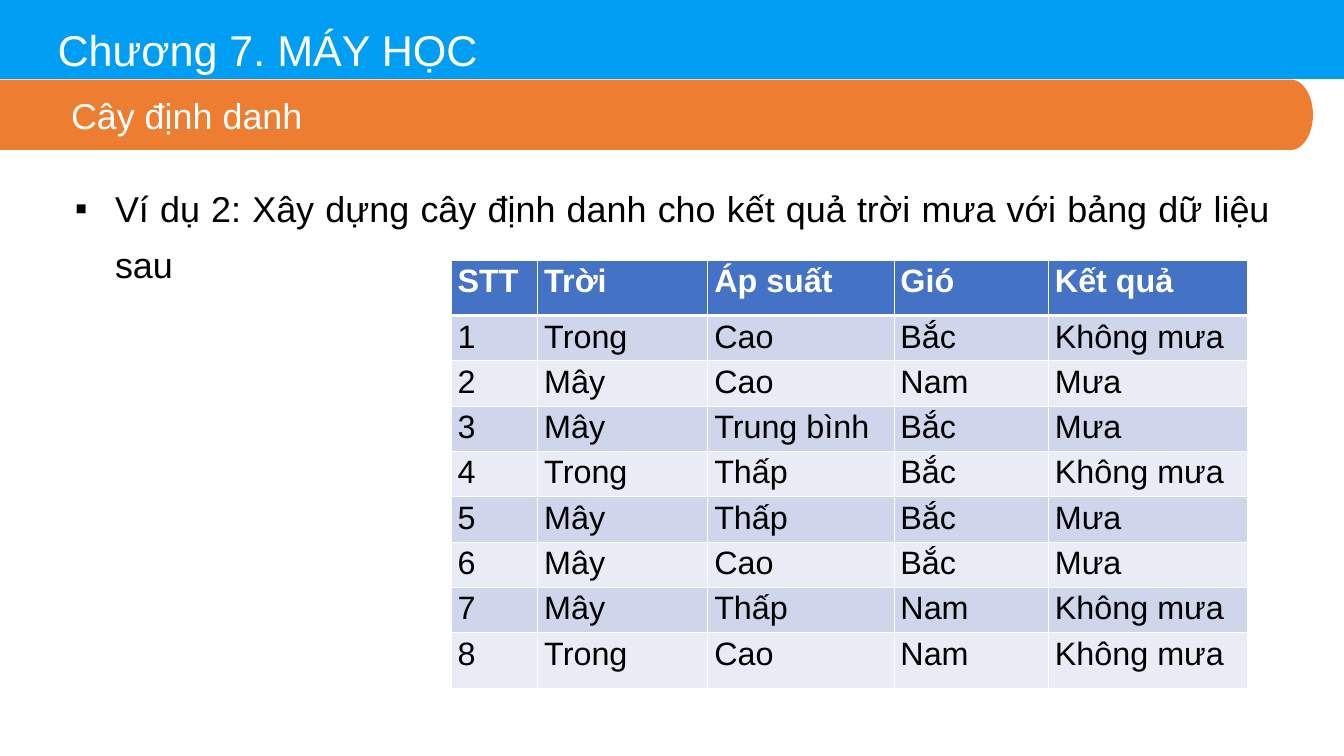
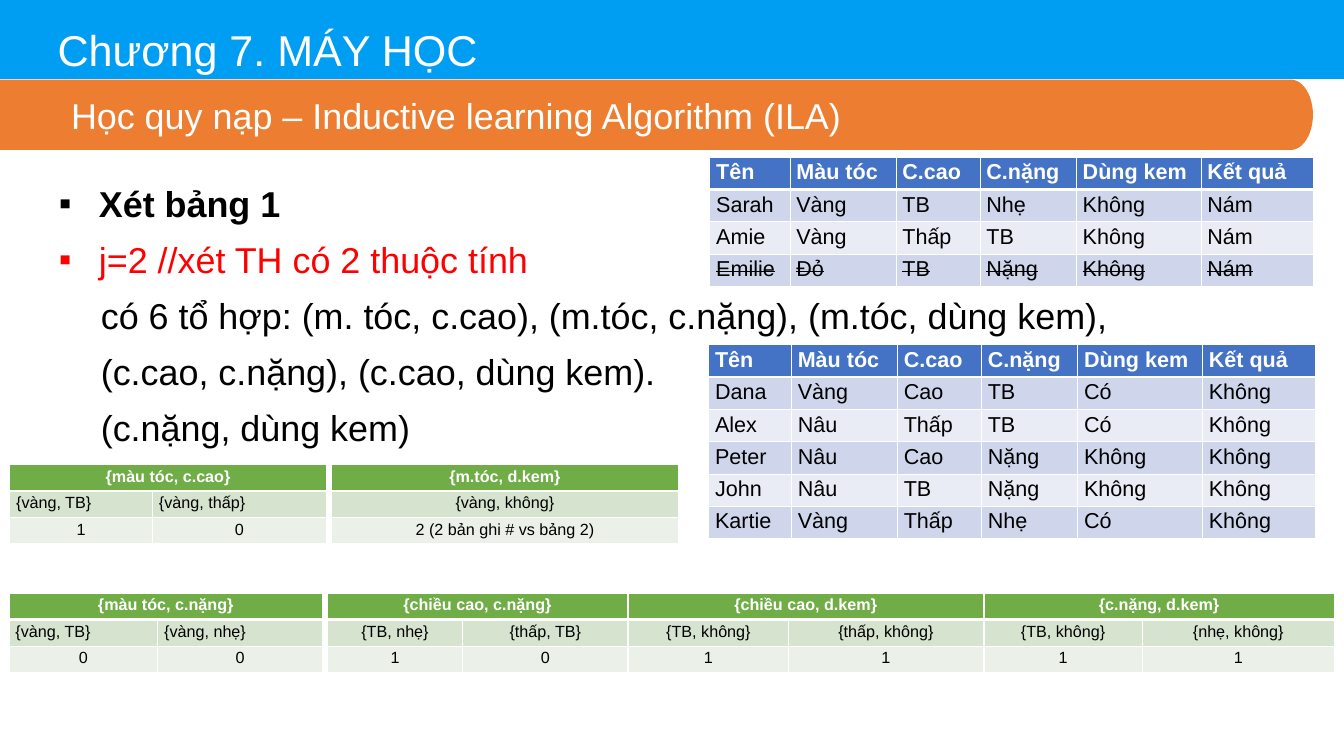
from itertools import zip_longest
from math import cos, pi, sin

from lxml.etree import SubElement as Sub
from pptx import Presentation
from pptx.dml.color import RGBColor
from pptx.enum.shapes import MSO_SHAPE as Shape
from pptx.enum.text import MSO_ANCHOR as Anchor, MSO_AUTO_SIZE as Fit, PP_ALIGN as Align
from pptx.oxml.ns import qn
from pptx.util import Inches, Pt

W, H = Inches(20.79), Inches(11.69)
FONT = "Arial"
WHITE, BLACK, RED = "FFFFFF", "000000", "FF0000"
SKY, ORANGE = "009EF3", "ED7D31"
BLUE = ("4472C4", "CFD5EA", "E9EBF5")
GREEN = ("70AD47", "D5E3CF", "EBF1E9")
CHAPTER = "Chương 7. MÁY HỌC"
HEADER_BOX = (0, 0, 100, 10.44)
TITLE_BOX = (4.28, 2.99, 90.19, 7.01)
TOPIC_BOX = (0, 10.52, 97.69, 9.32)
HANG = (0.64, -0.62)

WEATHER = """STT|Trời|Áp suất|Gió|Kết quả
1|Trong|Cao|Bắc|Không mưa
2|Mây|Cao|Nam|Mưa
3|Mây|Trung bình|Bắc|Mưa
4|Trong|Thấp|Bắc|Không mưa
5|Mây|Thấp|Bắc|Mưa
6|Mây|Cao|Bắc|Mưa
7|Mây|Thấp|Nam|Không mưa
8|Trong|Cao|Nam|Không mưa"""
PEOPLE_HEAD = "Tên|Màu tóc|C.cao|C.nặng|Dùng kem|Kết quả\n"
BURNT = PEOPLE_HEAD + """Sarah|Vàng|TB|Nhẹ|Không|Nám
Amie|Vàng|Thấp|TB|Không|Nám
Emilie|Đỏ|TB|Nặng|Không|Nám"""
UNBURNT = PEOPLE_HEAD + """Dana|Vàng|Cao|TB|Có|Không
Alex|Nâu|Thấp|TB|Có|Không
Peter|Nâu|Cao|Nặng|Không|Không
John|Nâu|TB|Nặng|Không|Không
Kartie|Vàng|Thấp|Nhẹ|Có|Không"""
PEOPLE_COLS = (1.64, 1.3, 1.49, 1.93, 1.74)

TOP_ROW, LOW_ROW = 61.42, 78.44
L, C = Align.LEFT, Align.CENTER
COMBOS = [
    (0.72, TOP_ROW, 23.57, (2.21, 2.69), L, "{màu tóc, c.cao}\n{vàng, TB}|{vàng, thấp}\n1|0"),
    (24.68, TOP_ROW, 25.78, (1,), C, "{m.tóc, d.kem}\n{vàng, không}\n2 (2 bản ghi # vs bảng 2)"),
    (0.67, LOW_ROW, 23.33, (2.3, 2.55), L, "{màu tóc, c.nặng}\n{vàng, TB}|{vàng, nhẹ}\n0|0"),
    (24.34, LOW_ROW, 22.37, (2.1, 2.55), C, "{chiều cao, c.nặng}\n{TB, nhẹ}|{thấp, TB}\n1|0"),
    (46.75, LOW_ROW, 26.41, (2.48, 3.01), C, "{chiều cao, d.kem}\n{TB, không}|{thấp, không}\n1|1"),
    (73.21, LOW_ROW, 26.07, (2.45, 2.97), C, "{c.nặng, d.kem}\n{TB, không}|{nhẹ, không}\n1|1"),
]


def rgb(code):
    """Turn a hex string into a colour."""
    return RGBColor.from_string(code)


def area(box):
    """Turn percentages of the slide into lengths."""
    return [round(v * side / 100) for v, side in zip(box, (W, H, W, H))]


def assign(obj, **values):
    """Set several attributes of one object."""
    for name, value in values.items():
        setattr(obj, name, value)


def write(p, text, size, color, bold=False):
    """Add a formatted run to a paragraph."""
    r = p.add_run()
    r.text = text
    assign(r.font, name=FONT, size=Pt(size), bold=bold)
    r.font.color.rgb = rgb(color)
    return r


def indent(p, left, first=0):
    """Set the left and first-line indents in inches."""
    pPr = p._p.get_or_add_pPr()
    pPr.set("marL", str(Inches(left)))
    pPr.set("indent", str(Inches(first)))
    return pPr


def paint(sp, color):
    """Give a shape a plain fill without line or shadow."""
    sp.shadow.inherit = False
    sp.fill.solid()
    sp.fill.fore_color.rgb = rgb(color)
    sp.line.fill.background()


def text_frame(sp):
    """Prepare a text frame with almost no insets."""
    tf = sp.text_frame
    assign(tf, word_wrap=True, auto_size=Fit.NONE, vertical_anchor=Anchor.TOP,
           margin_left=0, margin_right=0, margin_top=Inches(0.01), margin_bottom=0)
    return tf


def header(s, box, title_box):
    """Place the chapter title on its band."""
    band = s.shapes.add_shape(Shape.RECTANGLE, *area(box))
    paint(band, SKY)
    s.shapes._spTree.insert(2, band._element)
    sp = s.shapes.title
    sp.left, sp.top, sp.width, sp.height = area(title_box)
    p = text_frame(sp).paragraphs[0]
    p.alignment = Align.LEFT
    write(p, CHAPTER, 48, WHITE)


def topic(s, box, text):
    """Place the topic band with its rounded right end."""
    x, y, w, h = area(box)
    rx, ry, steps = round(w * 0.017), h / 2, 24
    angles = [-pi / 2 + pi * i / steps for i in range(steps + 1)]
    arc = [(x + w - rx + rx * cos(a), y + ry + ry * sin(a)) for a in angles]
    builder = s.shapes.build_freeform(x, y)
    builder.add_line_segments([(round(a), round(b)) for a, b in arc] + [(x, y + h)], close=True)
    sp = builder.convert_to_shape()
    paint(sp, ORANGE)
    tf = sp.text_frame
    assign(tf, word_wrap=True, vertical_anchor=Anchor.MIDDLE)
    p = tf.paragraphs[0]
    p.alignment = Align.JUSTIFY
    indent(p, 1)
    write(p, text, 40, WHITE)


def body(s, box, items):
    """Place paragraphs of (text, colour, bold, bulleted)."""
    tf = text_frame(s.shapes.add_textbox(*area(box)))
    for i, (text, color, bold, bulleted) in enumerate(items):
        p = tf.add_paragraph() if i else tf.paragraphs[0]
        if bulleted:
            pPr = indent(p, *HANG)
            Sub(pPr, qn("a:buFont"), typeface=FONT)
            Sub(pPr, qn("a:buChar"), char="▪")
        else:
            indent(p, 0.67)
        assign(p, alignment=Align.JUSTIFY, line_spacing=1.3)
        write(p, text, 40, color, bold)


def borders(cell, row):
    """Draw white cell borders, heavier under the header."""
    tcPr = cell._tc.get_or_add_tcPr()
    heavy = {"T": row == 1, "B": row == 0}
    for side in "LRTB":
        ln = Sub(tcPr, qn(f"a:ln{side}"), w=str(Pt(3 if heavy.get(side) else 1)))
        Sub(Sub(ln, qn("a:solidFill")), qn("a:srgbClr"), val=WHITE)


def split(total, weights):
    """Share a length by weights."""
    return [round(total * v / sum(weights)) for v in weights]


def grid(s, box, data, cols, colors, size, rows=None, aligns=None, struck=None):
    """Place a banded table of the given text."""
    lines = [line.split("|") for line in data.split("\n")]
    x, y, w, h = area(box)
    tbl = s.shapes.add_table(len(lines), len(cols), x, y, w, h).table
    for col, width in zip(tbl.columns, split(w, cols)):
        col.width = width
    for row, height in zip(tbl.rows, split(h, rows or [1] * len(lines))):
        row.height = height
    head, *bands = colors
    for i, line in enumerate(lines):
        for j, (text, _) in enumerate(zip_longest(line, cols, fillvalue="")):
            cell = tbl.cell(i, j)
            borders(cell, i)
            cell.fill.solid()
            cell.fill.fore_color.rgb = rgb(bands[(i - 1) % 2] if i else head)
            if not text:
                continue
            p = cell.text_frame.paragraphs[0]
            p.alignment = aligns[i] if aligns else Align.LEFT
            r = write(p, text, size, BLACK if i else WHITE, i == 0)
            if i == struck:
                r.font._element.set("strike", "sngStrike")
    if len(lines[0]) < len(cols):
        tbl.cell(0, 0).merge(tbl.cell(0, len(cols) - 1))


def new_slide(prs, text):
    """Add a slide with the shared header and a topic."""
    s = prs.slides.add_slide(prs.slide_layouts[5])
    header(s, HEADER_BOX, TITLE_BOX)
    topic(s, TOPIC_BOX, text)
    return s


def tree_slide(prs):
    """Build the identification tree example."""
    s = new_slide(prs, "Cây định danh")
    body(s, (5.48, 22.93, 88.98, 14.46), [
        ("Ví dụ 2: Xây dựng cây định danh cho kết quả trời mưa với bảng dữ liệu sau",
         BLACK, False, True)])
    grid(s, (33.57, 34.39, 59.21, 56.63), WEATHER, (1.34, 2.63, 2.88, 2.39, 3.07), BLUE, 36,
         rows=[0.86] + [0.7] * 7 + [0.86])


def induction_slide(prs):
    """Build the inductive learning example."""
    s = new_slide(prs, "Học quy nạp – Inductive learning Algorithm (ILA)")
    body(s, (4.28, 22.24, 93.55, 36.87), [
        ("Xét bảng 1", BLACK, True, True),
        ("j=2 //xét TH có 2 thuộc tính", RED, False, True),
        ("có 6 tổ hợp: (m. tóc, c.cao), (m.tóc, c.nặng), (m.tóc, dùng kem),", BLACK, False, False),
        ("(c.cao, c.nặng), (c.cao, dùng kem).", BLACK, False, False),
        ("(c.nặng, dùng kem)", BLACK, False, False)])
    grid(s, (52.81, 20.79, 44.92, 17.11), BURNT, (1.24, *PEOPLE_COLS), BLUE, 24, struck=3)
    grid(s, (52.72, 45.59, 45.12, 25.66), UNBURNT, (1.28, *PEOPLE_COLS), BLUE, 24)
    for x, y, w, cols, align, data in COMBOS:
        grid(s, (x, y, w, 10.52), data, cols, GREEN, 18, aligns=(C, align, C))


def main():
    """Build and save the presentation."""
    prs = Presentation()
    assign(prs, slide_width=W, slide_height=H)
    tree_slide(prs)
    induction_slide(prs)
    prs.save("out.pptx")


if __name__ == "__main__":
    main()
